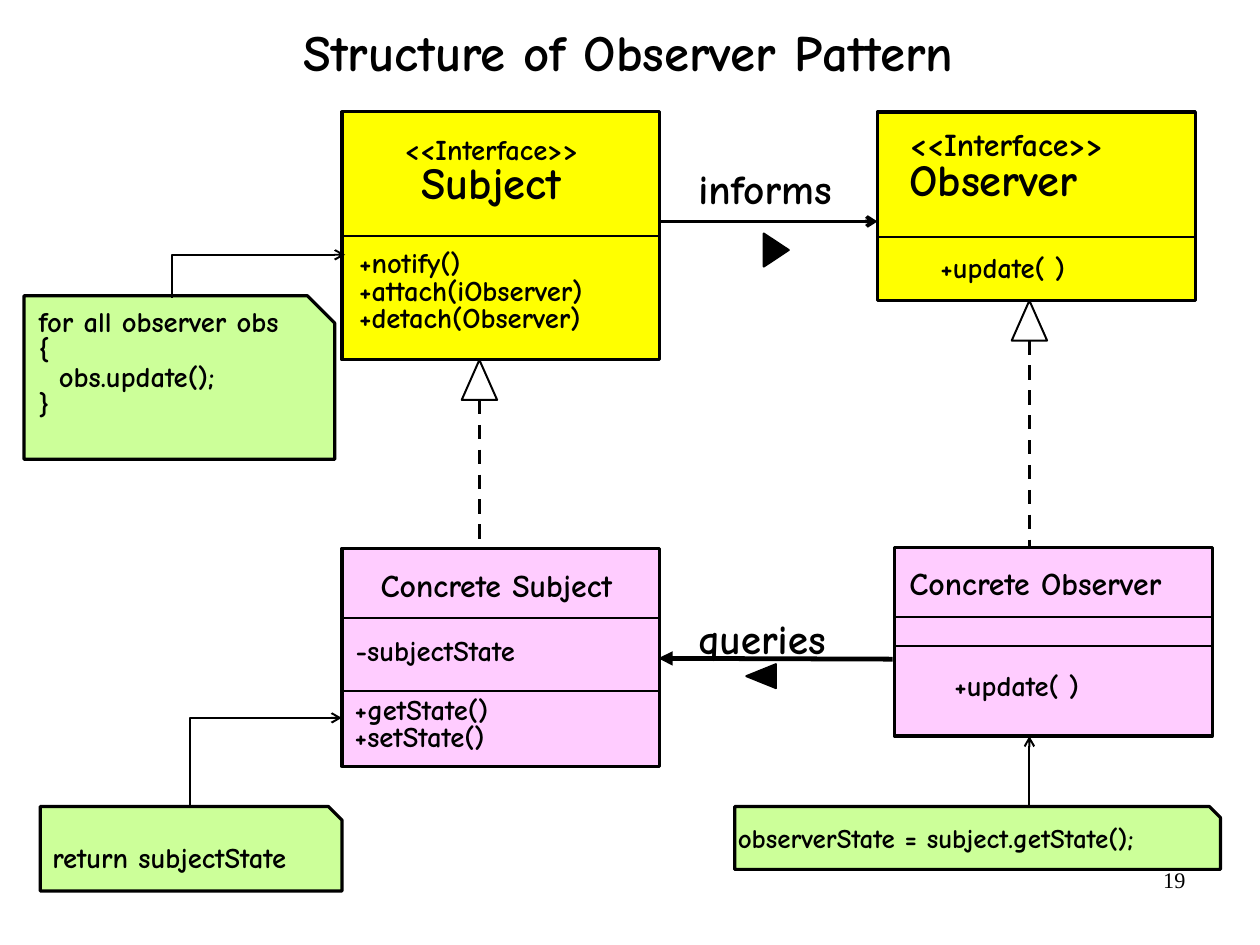
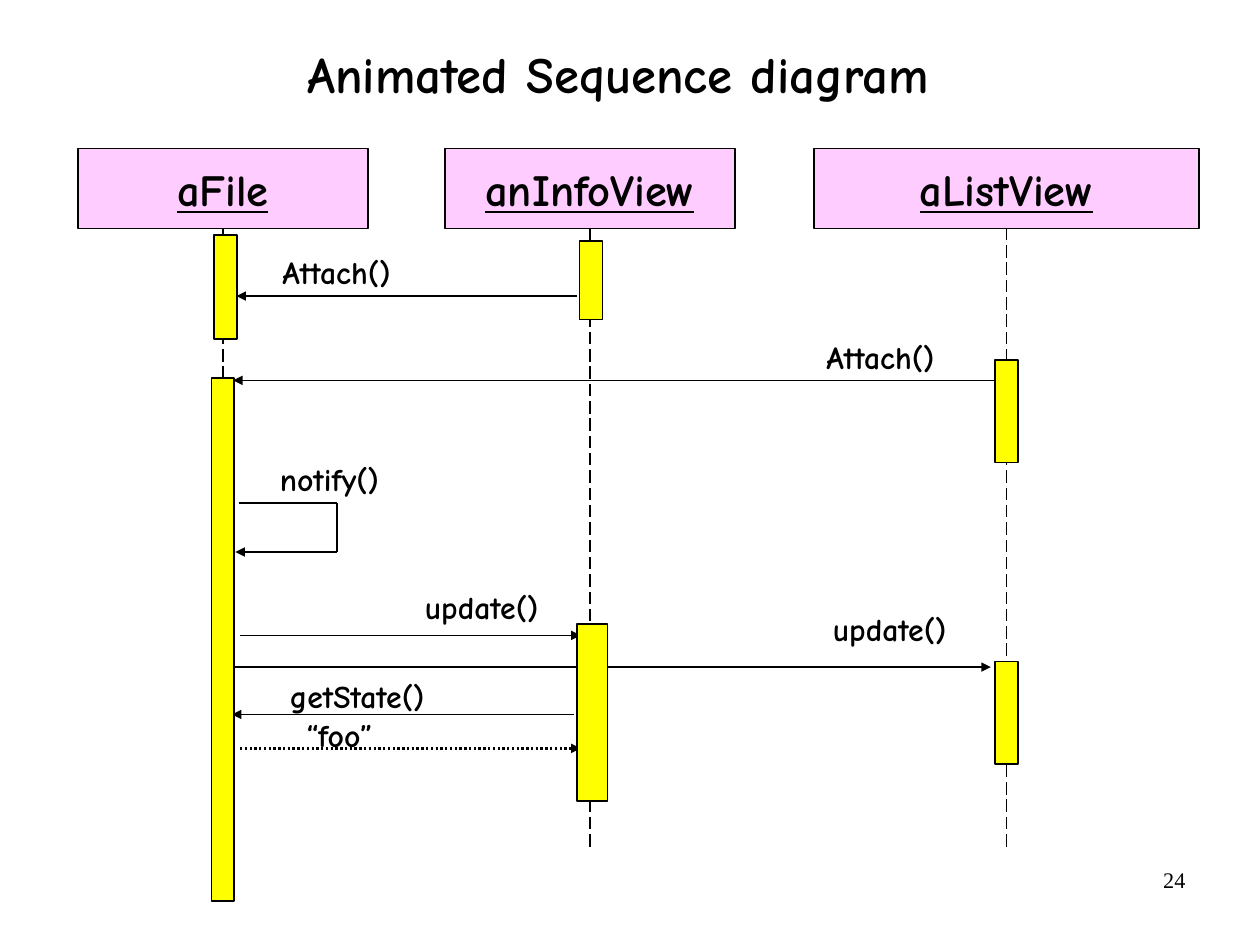
from lxml.etree import SubElement
from pptx import Presentation
from pptx.dml.color import RGBColor
from pptx.enum.dml import MSO_LINE
from pptx.enum.shapes import MSO_CONNECTOR, MSO_SHAPE
from pptx.enum.text import MSO_ANCHOR, PP_ALIGN
from pptx.oxml.ns import qn
from pptx.util import Pt

COLORS = {
    "ink": "000000",
    "paper": "FFFFFF",
    "interface": "FFFF00",
    "concrete": "FFCCFF",
    "note": "CCFF99",
}
FONT = "Comic Neue"
NUMBER_FONT = "Times New Roman"
THIN, BORDER, THICK = 1.25, 2, 2.25


def rgb(name):
    return RGBColor.from_string(COLORS[name])


def write(tf, lines, size, align=PP_ALIGN.LEFT, spacing=1, font=FONT,
          bold=True, underline=False):
    """Fill a frame; size is one number or one number per line."""
    tf.word_wrap = True
    tf.margin_left = tf.margin_right = Pt(8)
    tf.margin_top = tf.margin_bottom = Pt(4)
    sizes = size if isinstance(size, tuple) else (size,) * len(lines)
    for i, (line, points) in enumerate(zip(lines, sizes)):
        p = tf.add_paragraph() if i else tf.paragraphs[0]
        p.text = line
        p.alignment = align
        p.line_spacing = spacing
        for r in p.runs:
            r.font.name = font
            r.font.size = Pt(points)
            r.font.bold = bold
            r.font.underline = underline
            r.font.color.rgb = rgb("ink")


def add_text(slide, x, y, w, h, lines, size, **style):
    sp = slide.shapes.add_textbox(Pt(x), Pt(y), Pt(w), Pt(h))
    write(sp.text_frame, lines, size, **style)
    return sp


def paint(sp, fill, width):
    sp.shadow.inherit = False
    if fill:
        sp.fill.solid()
        sp.fill.fore_color.rgb = rgb(fill)
    else:
        sp.fill.background()
    sp.line.color.rgb = rgb("ink")
    sp.line.width = Pt(width)


def add_box(slide, x, y, w, h, fill, width, preset=MSO_SHAPE.RECTANGLE):
    sp = slide.shapes.add_shape(preset, Pt(x), Pt(y), Pt(w), Pt(h))
    paint(sp, fill, width)
    return sp


def add_line(slide, start, end, width, arrow=None, dash=None,
             kind=MSO_CONNECTOR.STRAIGHT):
    """Draw a line whose arrowhead, if any, is at its end."""
    line = slide.shapes.add_connector(kind, *map(Pt, start + end))
    line.line.color.rgb = rgb("ink")
    line.line.width = Pt(width)
    if dash:
        line.line.dash_style = dash
    if arrow:
        SubElement(line.line._get_or_add_ln(), qn("a:tailEnd"), type=arrow)
    SubElement(line._element.spPr, qn("a:effectLst"))
    return line


def add_corner_arrow(slide, start, end):
    """Go vertically from start, then horizontally to an arrowhead at end."""
    line = add_line(slide, end, start, THIN, kind=MSO_CONNECTOR.ELBOW)
    line._element.spPr.find(qn("a:prstGeom")).set("prst", "bentConnector2")
    SubElement(line.line._get_or_add_ln(), qn("a:headEnd"), type="arrow")


def add_title(slide, text, x, y, w, h, spacing):
    sp = add_text(slide, x, y, w, h, [text], 32, align=PP_ALIGN.CENTER,
                  spacing=spacing)
    sp.text_frame.vertical_anchor = MSO_ANCHOR.MIDDLE


def add_page(prs, number):
    slide = prs.slides.add_slide(prs.slide_layouts[6])
    slide.background.fill.solid()
    slide.background.fill.fore_color.rgb = rgb("paper")
    add_text(slide, 569.8, 541.8, 185, 41, [number], 14,
             align=PP_ALIGN.RIGHT, font=NUMBER_FONT, bold=False)
    return slide


def add_class(slide, x, y, h, fill, dividers, parts):
    """Dividers and parts (dx, dy, lines, size, align) are offsets in the box."""
    w = 200.2
    add_box(slide, x, y, w, h, fill, BORDER)
    for dy in dividers:
        add_line(slide, (x, y + dy), (x + w, y + dy), THIN)
    for dx, dy, lines, size, align in parts:
        add_text(slide, x + dx, y + dy, 187.2, 25 * len(lines), lines, size,
                 align=align, spacing=0.8)


def add_note(slide, x, y, w, h, fold, dx, dy, lines, size=18):
    """Draw a note with a cut corner; dx, dy place its text."""
    outline = slide.shapes.build_freeform(Pt(x), Pt(y), scale=1.0)
    corners = [(x + w - fold, y), (x + w, y + fold), (x + w, y + h), (x, y + h)]
    outline.add_line_segments([(Pt(a), Pt(b)) for a, b in corners], close=True)
    paint(outline.convert_to_shape(), "note", BORDER)
    add_text(slide, x + dx, y + dy, w + 15, 20 * len(lines), lines, size,
             spacing=0.8)


def add_realization(slide, cx, top, bottom):
    w, h = 22.3, 25.2
    add_box(slide, cx - w / 2, top, w, h, None, THIN,
            MSO_SHAPE.ISOSCELES_TRIANGLE)
    add_line(slide, (cx, top + h), (cx, bottom), THICK, dash=MSO_LINE.DASH)


def add_association(slide, label, label_y, start, end, width, arrow, marker):
    """Marker is the centre, base, height and turn of the direction sign."""
    add_line(slide, start, end, width, arrow)
    add_text(slide, 432, label_y, 120.2, 38.9, [label], 26)
    cx, cy, base, height, turn = marker
    sign = add_box(slide, cx - base / 2, cy - height / 2, base, height, "ink",
                   THIN, MSO_SHAPE.ISOSCELES_TRIANGLE)
    sign.rotation = turn


def structure_slide(prs):
    slide = add_page(prs, "19")
    add_title(slide, "Structure of Observer Pattern", 38.9, 16.6, 714.2, 38.9, 0.8)
    left, center = PP_ALIGN.LEFT, PP_ALIGN.CENTER
    classes = [
        (215.5, 70.5, 156.2, "interface", [78.3], [
            (0.5, 12.5, ["<<Interface>>", "Subject"], (18, 28), center),
            (2.7, 84.2, ["+notify()", "+attach(iObserver)", "+detach(Observer)"],
             18, left)]),
        (215.5, 345.3, 137.5, "concrete", [44, 90], [
            (16.3, 11.5, ["Concrete Subject"], 20, left),
            (0.5, 53.4, ["-subjectState"], 18, left),
            (0, 90.7, ["+getState()", "+setState()"], 18, left)]),
        (552.8, 70.5, 118.8, "interface", [78.5], [
            (12.2, 8.6, ["<<Interface>>", "Observer"], (20, 28), left),
            (31.6, 87.1, ["+update( )"], 18, left)]),
        (563.5, 344.8, 118.8, "concrete", [44, 62], [
            (1.4, 10.8, ["Concrete Observer"], 20, left),
            (29.7, 76.3, ["+update( )"], 18, left)]),
    ]
    for box in classes:
        add_class(slide, *box)

    add_realization(slide, 302, 226.7, 345.3)
    add_realization(slide, 648.5, 189.3, 344.8)
    add_association(slide, "informs", 98.8, (414.7, 139.5), (552.8, 139.5), THICK,
                    "arrow", (489, 157.5, 20.9, 15.8, 90))
    add_association(slide, "queries", 382.4, (562.3, 415.2), (414.7, 414.7), 3,
                    "triangle", (479.5, 425.9, 15.1, 18.7, 270))

    add_note(slide, 15.1, 186.3, 195.8, 103, 17.3, 1.2, 5.2,
             ["for all observer obs", "{", "  obs.update();", "}"])
    add_note(slide, 25.4, 508, 190.1, 53.3, 8.6, -0.4, 21,
             ["return subjectState"])
    add_note(slide, 462.8, 508, 306, 39.6, 7, -6, 9.4,
             ["observerState = subject.getState();"], 17)
    add_corner_arrow(slide, (108.5, 187.7), (217.4, 160.5))
    add_corner_arrow(slide, (119.5, 506.9), (215.3, 452.2))
    add_line(slide, (648.5, 508), (648.5, 463.7), THIN, "arrow")


def add_lifeline(slide, name, x, w):
    cx, top = x + w / 2, 93.6
    add_line(slide, (cx, 132.5), (cx, 535.5), 1, dash=MSO_LINE.LONG_DASH)
    sp = add_box(slide, x, top, w, 50.4, "concrete", 1)
    write(sp.text_frame, [name], 28, align=PP_ALIGN.CENTER, underline=True)
    sp.text_frame.vertical_anchor = MSO_ANCHOR.MIDDLE


def add_label(slide, text, x, y):
    add_text(slide, x, y, 110, 31.7, [text], 20)


def add_self_call(slide, text, x, y):
    right, bottom = x + 64, y + 31
    add_line(slide, (x + 2, y), (right, y), 1)
    add_line(slide, (right, y), (right, bottom), 1)
    add_line(slide, (right, bottom), (x, bottom), 1, "triangle")
    add_label(slide, text, x + 20, y - 31.2)


def sequence_slide(prs):
    slide = add_page(prs, "24")
    add_title(slide, "Animated Sequence diagram", 51.1, -0.7, 676.8, 98.6, 0.88)
    for lifeline in [("aFile", 49, 182.9), ("anInfoView", 280.2, 182.9),
                     ("aListView", 512.7, 242.6)]:
        add_lifeline(slide, *lifeline)

    messages = [  # text, label x, label y, from x, to x, y
        ("Attach()", 169.9, 155.5, 363.6, 149, 186.5),
        ("Attach()", 512.6, 208.6, 628.6, 146.9, 239.6),
        ("update()", 259.6, 366.1, 151, 365.8, 400.2),
        ("update()", 516.6, 379.8, 148.3, 624.2, 420.2),
        ("getState()", 174.6, 422.2, 361.4, 146.2, 450),
    ]
    for text, label_x, label_y, x1, x2, y in messages:
        add_line(slide, (x1, y), (x2, y), 1, "triangle")
        add_label(slide, text, label_x, label_y)
    add_line(slide, (151.2, 471.4), (365.8, 471.4), 1.5, "triangle",
             MSO_LINE.ROUND_DOT)
    add_label(slide, "“foo”", 185, 446.8)
    add_self_call(slide, "notify()", 148.3, 316.7)

    activations = [  # x, y, width, height
        (134.8, 148, 14.4, 65.5),
        (133.2, 238, 14.4, 329.6),
        (365.2, 151.7, 14.4, 49.7),
        (363.4, 393.1, 19.4, 111.4),
        (627, 226.7, 14.4, 64.8),
        (627, 416.6, 14.4, 64.8),
    ]
    for bar in activations:
        add_box(slide, *bar, "interface", 1)


def main():
    prs = Presentation()
    prs.slide_width, prs.slide_height = Pt(793.75), Pt(595.25)
    structure_slide(prs)
    sequence_slide(prs)
    prs.save("out.pptx")


if __name__ == "__main__":
    main()
